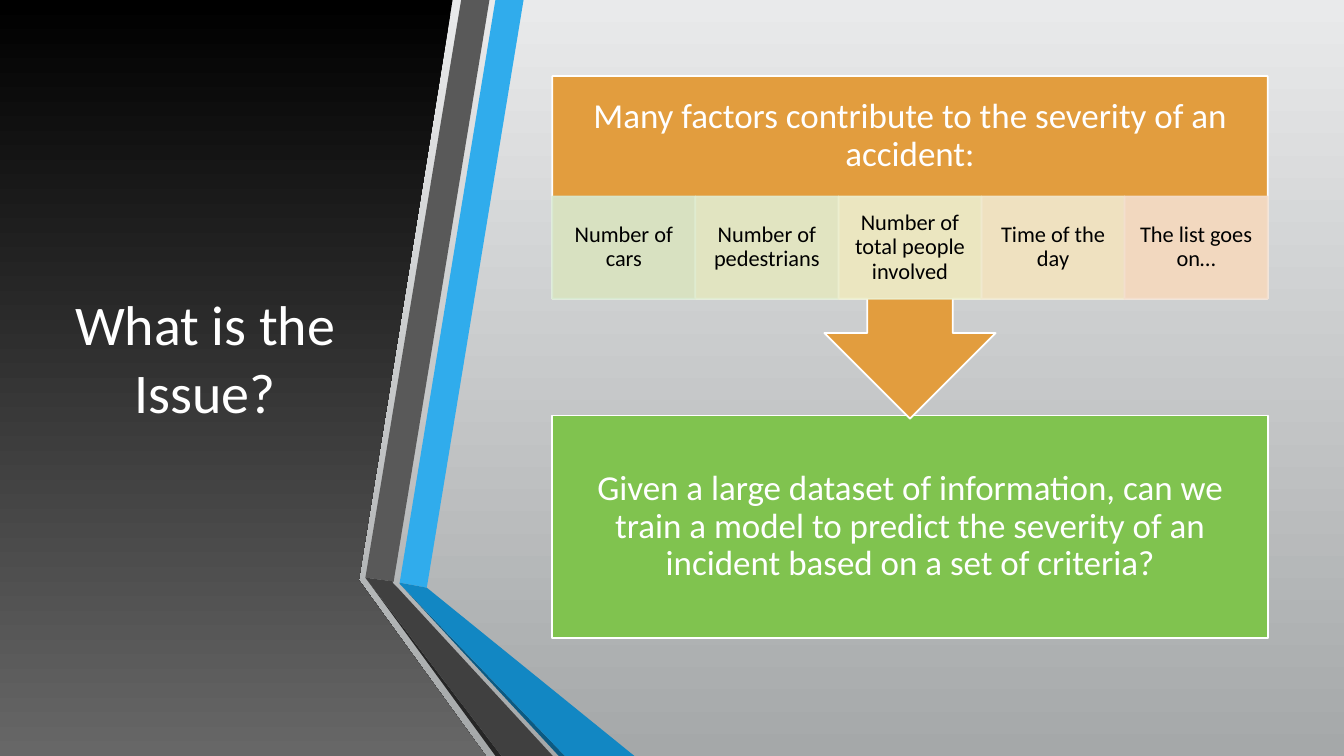
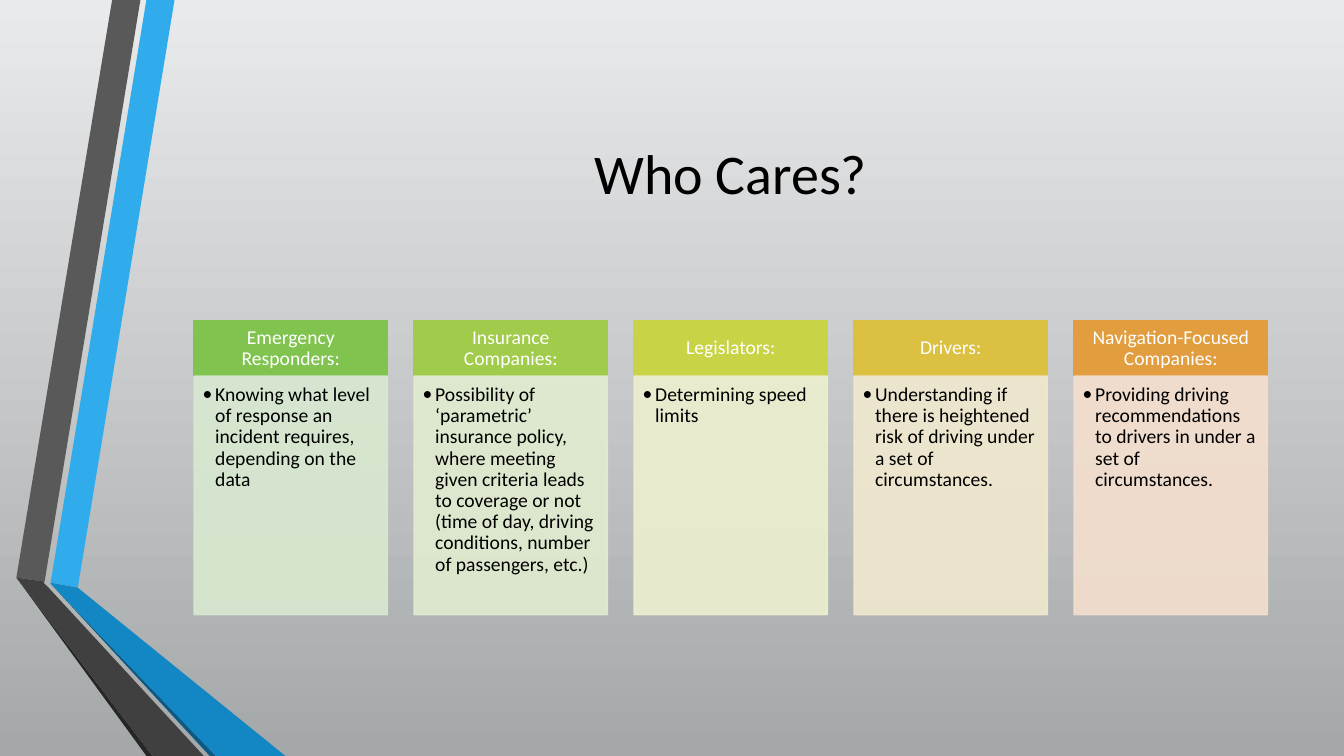
from lxml.etree import SubElement as Sub
from pptx import Presentation as Deck
from pptx.dml.color import RGBColor as Rgb
from pptx.enum.shapes import MSO_SHAPE as Kind
from pptx.enum.text import MSO_ANCHOR as Anchor, MSO_AUTO_SIZE as Auto, PP_ALIGN as Align
from pptx.oxml.ns import qn
from pptx.util import Pt

WIDE, HIGH = 960, 540
EDGE = 54
COLS = 5
GAP = 0.14
HEAD = 0.54
CALL = 0.65
FACE = "Calibri"

HUES = {
    "black": "000000", "white": "FFFFFF", "ash": "676767",
    "mist": "E9EAEB", "fog": "A5A8A9",
    "sky": "30ACEC", "deep": "1287C3", "navy": "0C5A82",
    "gray": "595959", "coal": "404040", "soot": "262626",
    "green": "80C34F", "leaf": "A1CB4A", "lime": "C8D346",
    "gold": "DBC042", "orange": "E29D3E",
    "pale green": "D8E9D0", "pale leaf": "E1ECD0", "pale lime": "EDEFCF",
    "pale gold": "F1E9CF", "pale orange": "F4DFCE",
}
ROW = ["green", "leaf", "lime", "gold", "orange"]

BANDS = [
    ("sky", [(24.5, 416.2), (43.9, 419.8), (113, 0), (92.9, 0)]),
    ("gray", [(88.6, 0), (68.4, 0), (0, 412.6), (20.2, 415.4)]),
    ("soot", [(0, 412.6), (92.9, 540), (97.2, 540)]),
    ("navy", [(24.5, 416.9), (138.2, 540), (142.6, 540)]),
    ("deep", [(24.5, 416.9), (142.6, 540), (192.2, 540), (43.9, 419.8), (24.5, 416.2)]),
    ("coal", [(133.9, 540), (23, 419.8), (19.4, 416.2), (20.2, 415.4), (0, 412.6), (97.2, 540)]),
]
PANEL = [(0, 0), (323.3, 0), (256.3, 414.4), (347, 540), (0, 540)]

FACTORS = ["Number of cars", "Number of pedestrians", "Number of total people involved",
           "Time of the day", "The list goes on…"]
GROUPS = [
    ("Emergency Responders:",
     "Knowing what level of response an incident requires, depending on the data"),
    ("Insurance Companies:",
     "Possibility of ‘parametric’ insurance policy, where meeting given criteria leads to "
     "coverage or not (time of day, driving conditions, number of passengers, etc.)"),
    ("Legislators:", "Determining speed limits"),
    ("Drivers:",
     "Understanding if there is heightened risk of driving under a set of circumstances."),
    ("Navigation-Focused Companies:",
     "Providing driving recommendations to drivers in under a set of circumstances."),
]


def tint(name):
    return Rgb.from_string(HUES[name])


def put(obj, form):
    for key, val in form.items():
        setattr(obj, key, val)


def place(shape, box):
    put(shape, dict(zip(("left", "top", "width", "height"), map(Pt, box))))


def shade(fill, top, low):
    fill.gradient()
    fill.gradient_angle = 270
    for stop, name in zip(fill.gradient_stops, (top, low)):
        stop.color.rgb = tint(name)


def write(shape, text, size, hue, pads=None, anchor=Anchor.MIDDLE, align=Align.CENTER, pitch=None):
    frame = shape.text_frame
    frame.text = text
    put(frame, {"word_wrap": True, "auto_size": Auto.NONE, "vertical_anchor": anchor})
    if pads:
        sides = ("margin_left", "margin_top", "margin_right", "margin_bottom")
        put(frame, dict(zip(sides, map(Pt, pads))))
    para = frame.paragraphs[0]
    put(para, {"alignment": align, "line_spacing": pitch})
    font = para.runs[0].font
    put(font, {"size": Pt(size), "name": FACE})
    font.color.rgb = tint(hue)
    return para


def block(page, box, fill, line, kind=Kind.RECTANGLE, alpha=None):
    shape = page.shapes.add_shape(kind, *map(Pt, box))
    shape.shadow.inherit = False
    shape.fill.solid()
    shape.fill.fore_color.rgb = tint(fill)
    shape.line.color.rgb = tint(line)
    shape.line.width = Pt(1.25)
    if alpha:
        for node in shape._element.spPr.iter(qn("a:srgbClr")):
            Sub(node, qn("a:alpha"), val=str(alpha * 1000))
    return shape


def outline(page, left, dots):
    spots = [(Pt(left + x), Pt(y)) for x, y in dots]
    pen = page.shapes.build_freeform(*spots[0])
    pen.add_line_segments(spots[1:], close=True)
    shape = pen.convert_to_shape()
    shape.shadow.inherit = False
    shape.line.fill.background()
    return shape


def ribbon(page, left):
    for name, dots in BANDS:
        fill = outline(page, left, dots).fill
        fill.solid()
        fill.fore_color.rgb = tint(name)


def panel(page):
    shape = outline(page, 0, PANEL)
    shade(shape.fill, "black", "ash")
    page.shapes.title._element.addprevious(shape._element)


def title(page, box, text, hue):
    shape = page.shapes.title
    place(shape, box)
    write(shape, text, 40, hue)


def bullet(para):
    props = para._p.get_or_add_pPr()
    props.set("marL", str(Pt(9)))
    props.set("indent", str(-Pt(9)))
    Sub(props, qn("a:buFont"), typeface=FACE)
    Sub(props, qn("a:buChar"), char="•")


def factors(page, box):
    left, top, width, height = box
    body = height * CALL
    head = body * HEAD
    call = block(page, box, "orange", "white", Kind.DOWN_ARROW_CALLOUT)
    write(call, "Many factors contribute to the severity of an accident:", 25, "white",
          (14, 14, 14, 14 + body - head), pitch=0.9)
    step = width / COLS
    for num, (text, hue) in enumerate(zip(FACTORS, ROW)):
        pale = "pale " + hue
        cell = block(page, (left + num * step, top + head, step, body - head), pale, pale, alpha=90)
        write(cell, text, 16, "black", (9, 1.6, 9, 1.6), pitch=0.9)


def goal(page, box):
    write(block(page, box, "green", "white"),
          "Given a large dataset of information, can we train a model to predict "
          "the severity of an incident based on a set of criteria?",
          25, "white", (14, 14, 14, 14), pitch=0.9)


def columns(page, box, head):
    left, top, width, height = box
    wide = width / (COLS + (COLS - 1) * GAP)
    for num, ((name, text), hue) in enumerate(zip(GROUPS, ROW)):
        x = left + num * wide * (1 + GAP)
        cap = block(page, (x, top, wide, head), hue, hue)
        write(cap, name, 14, "white", (7.8, 4.5, 7.8, 4.5), pitch=0.9)
        pale = "pale " + hue
        card = block(page, (x, top + head, wide, height - head), pale, pale, alpha=90)
        bullet(write(card, text, 14, "black", (5.9, 5.9, 7.8, 8.8),
                     Anchor.TOP, Align.LEFT, 0.9))


def issue(page):
    panel(page)
    title(page, (42.5, EDGE, 208, 402), "What is the Issue?", "white")
    ribbon(page, 261)
    goal(page, (394.5, 296.7, 511, 159))
    factors(page, (394.5, 54.4, 511, 244.7))


def cares(page):
    ribbon(page, 11.7)
    title(page, (138.7, EDGE, 766.6, 138), "Who Cares?", "black")
    columns(page, (138.8, 229, 766.4, 210), 39.8)


def main():
    deck = Deck()
    put(deck, {"slide_width": Pt(WIDE), "slide_height": Pt(HIGH)})
    shade(deck.slide_master.background.fill, "mist", "fog")
    for build in (issue, cares):
        build(deck.slides.add_slide(deck.slide_layouts[5]))
    deck.save("out.pptx")


if __name__ == "__main__":
    main()
